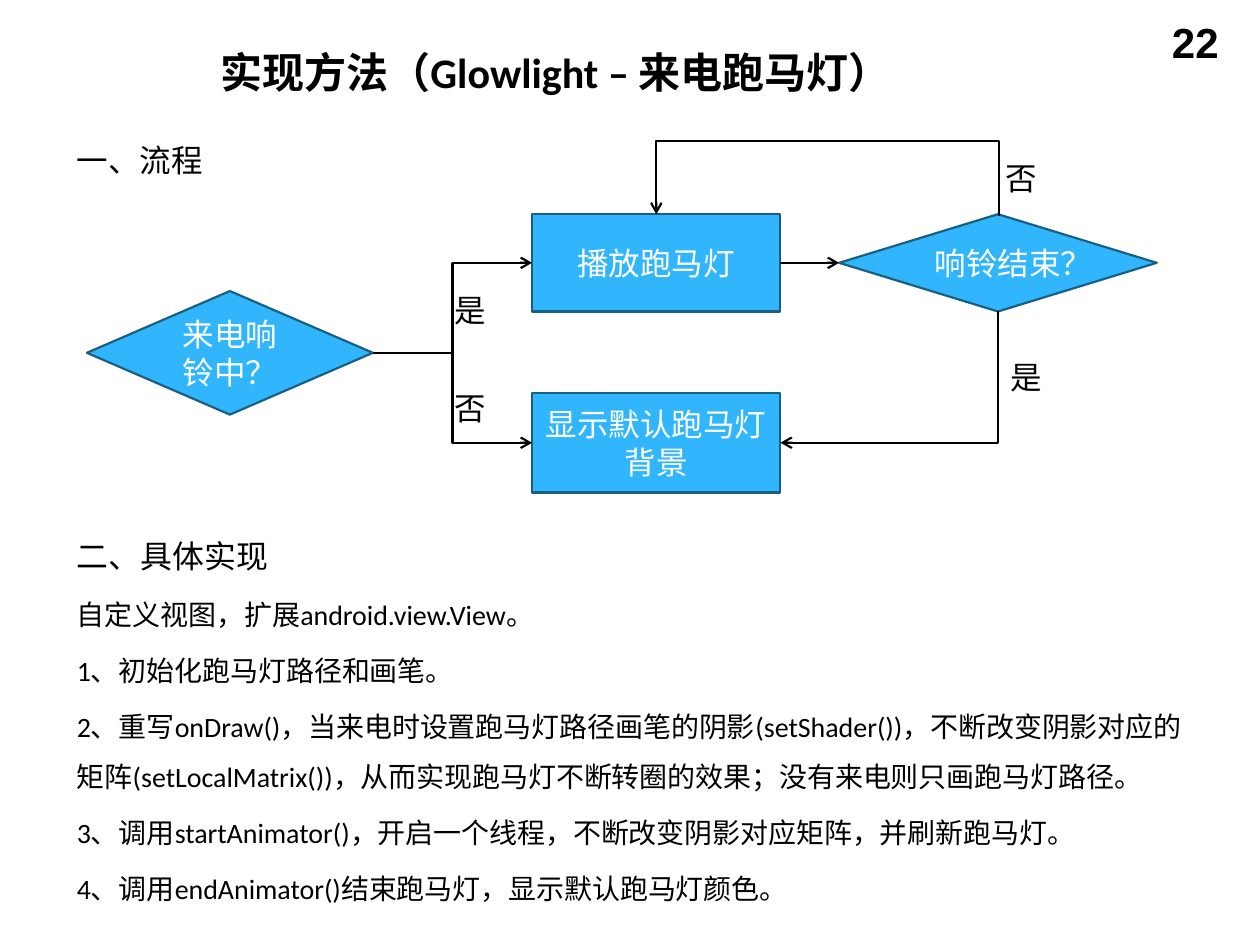
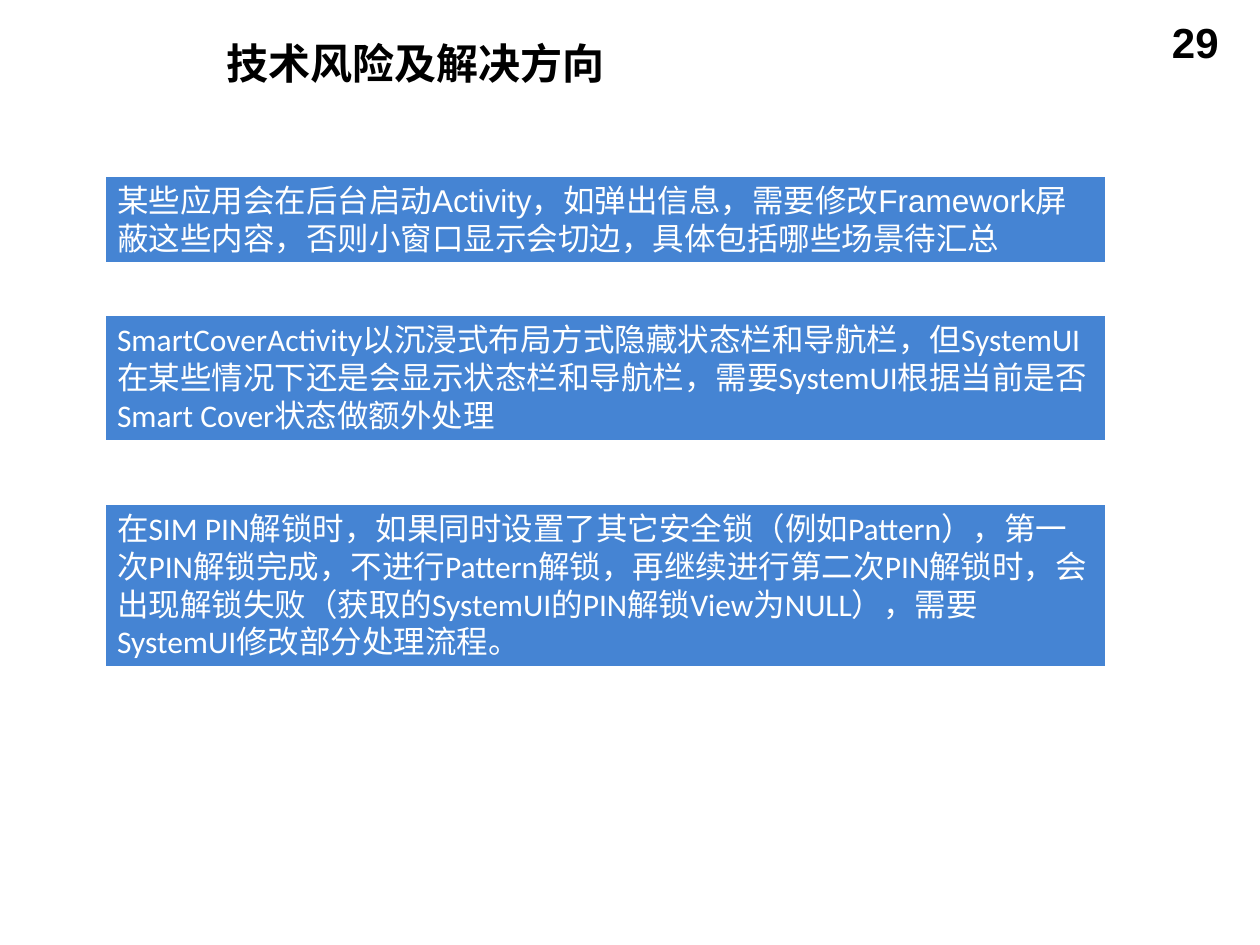
import pptx
import pptx.util
import pptx.dml.color
import pptx.enum.shapes
import pptx.enum.text
import pptx.oxml
import pptx.oxml.ns

Pt = pptx.util.Pt
RGBColor = pptx.dml.color.RGBColor
SHAPE = pptx.enum.shapes.MSO_SHAPE
CONNECTOR = pptx.enum.shapes.MSO_CONNECTOR
ALIGN = pptx.enum.text.PP_ALIGN
ANCHOR = pptx.enum.text.MSO_ANCHOR
qn = pptx.oxml.ns.qn

BLACK = RGBColor(0x00, 0x00, 0x00)
WHITE = RGBColor(0xFF, 0xFF, 0xFF)
FLOW_FILL = RGBColor(0x31, 0xB6, 0xFD)
FLOW_LINE = RGBColor(0x19, 0x5F, 0x84)
RISK_FILL = RGBColor(0x45, 0x84, 0xD3)

TOP, LEFT, BOTTOM, RIGHT = range(4)

STEPS = [
    "自定义视图，扩展android.view.View。",
    "1、初始化跑马灯路径和画笔。",
    "2、重写onDraw()，当来电时设置跑马灯路径画笔的阴影(setShader())，不断改变阴影对应的矩阵"
    "(setLocalMatrix())，从而实现跑马灯不断转圈的效果；没有来电则只画跑马灯路径。",
    "3、调用startAnimator()，开启一个线程，不断改变阴影对应矩阵，并刷新跑马灯。",
    "4、调用endAnimator()结束跑马灯，显示默认跑马灯颜色。",
]

RISKS = [
    (100, 51, "Arial",
     "某些应用会在后台启动Activity，如弹出信息，需要修改Framework屏蔽这些内容，"
     "否则小窗口显示会切边，具体包括哪些场景待汇总"),
    (179.3, 73, "Calibri",
     "SmartCoverActivity以沉浸式布局方式隐藏状态栏和导航栏，但SystemUI在某些情况下还是会"
     "显示状态栏和导航栏，需要SystemUI根据当前是否Smart Cover状态做额外处理"),
    (287.3, 94.3, "Calibri",
     "在SIM PIN解锁时，如果同时设置了其它安全锁（例如Pattern），第一次PIN解锁完成，"
     "不进行Pattern解锁，再继续进行第二次PIN解锁时，会出现解锁失败（获取的SystemUI的PIN解锁"
     "View为NULL），需要SystemUI修改部分处理流程。"),
]


def write(paragraph, text, size=18, font="Calibri", color=BLACK, bold=False,
          align=ALIGN.LEFT, line_spacing=None, space_before=None):
    paragraph.alignment = align
    if line_spacing:
        paragraph.line_spacing = line_spacing
    if space_before is not None:
        paragraph.space_before = Pt(space_before)
    run = paragraph.add_run()
    run.text = text
    run.font.size = Pt(size)
    run.font.name = font
    run.font.bold = bold
    run.font.color.rgb = color


def place(shape, left, top, width, height):
    shape.left, shape.top = Pt(left), Pt(top)
    shape.width, shape.height = Pt(width), Pt(height)


def add_label(slide, text, left, top, width, height=29, **text_format):
    label = slide.shapes.add_textbox(Pt(left), Pt(top), Pt(width), Pt(height))
    label.text_frame.word_wrap = True
    write(label.text_frame.paragraphs[0], text, **text_format)


def add_block(slide, preset, text, box, fill, outline, line_width,
              anchor=ANCHOR.MIDDLE, **text_format):
    block = slide.shapes.add_shape(preset, *map(Pt, box))
    block.shadow.inherit = False
    block.fill.solid()
    block.fill.fore_color.rgb = fill
    block.line.color.rgb = outline
    block.line.width = Pt(line_width)
    block.text_frame.word_wrap = True
    block.text_frame.vertical_anchor = anchor
    write(block.text_frame.paragraphs[0], text, color=WHITE, **text_format)
    return block


def add_flow_node(slide, preset, text, *box):
    return add_block(slide, preset, text, box, FLOW_FILL, FLOW_LINE, 1.25,
                     align=ALIGN.CENTER)


def add_arrow(slide, kind, start=(0, 0), end=(0, 0)):
    arrow = slide.shapes.add_connector(kind, *map(Pt, start + end))
    arrow.line.color.rgb = BLACK
    arrow.line.width = Pt(1.25)
    head = pptx.oxml.parse_xml(
        '<a:tailEnd xmlns:a="http://schemas.openxmlformats.org/drawingml/2006/main" type="arrow"/>')
    arrow.line._get_or_add_ln().append(head)
    properties = arrow._element.spPr
    properties.append(properties.makeelement(qn("a:effectLst"), {}))
    return arrow


def join(slide, kind, source, source_side, target, target_side):
    arrow = add_arrow(slide, kind)
    arrow.begin_connect(source, source_side)
    arrow.end_connect(target, target_side)
    return arrow


def turn_elbow(arrow, start, end, preset, rotation, flip=False, bend=None):
    (start_x, start_y), (end_x, end_y) = start, end
    width, height = abs(end_y - start_y), abs(end_x - start_x)
    place(arrow, (start_x + end_x - width) / 2, (start_y + end_y - height) / 2, width, height)
    properties = arrow._element.spPr
    frame = properties.find(qn("a:xfrm"))
    for flag in ("flipH", "flipV"):
        frame.attrib.pop(flag, None)
    frame.set("rot", str(rotation * 60000))
    if flip:
        frame.set("flipV", "1")
    geometry = properties.find(qn("a:prstGeom"))
    geometry.set("prst", preset)
    if bend is not None:
        guides = geometry.find(qn("a:avLst"))
        guides.append(guides.makeelement(
            qn("a:gd"), {"name": "adj1", "fmla": f"val {round(bend * 100000)}"}))


def add_page(presentation, layout_index, title, number, title_box, anchor):
    slide = presentation.slides.add_slide(presentation.slide_layouts[layout_index])
    heading = slide.shapes.title
    place(heading, *title_box)
    heading.text_frame.auto_size = pptx.enum.text.MSO_AUTO_SIZE.NONE
    heading.text_frame.vertical_anchor = anchor
    write(heading.text_frame.paragraphs[0], title, size=24, bold=True)
    add_label(slide, number, 535.7, 5.8, 167.8, 37.4, size=24, font="Arial",
              bold=True, align=ALIGN.RIGHT)
    return slide


def add_flowchart(slide):
    ringing = add_flow_node(slide, SHAPE.DIAMOND, "来电响铃中？", 49.7, 166.3, 163.4, 70.6)
    play = add_flow_node(slide, SHAPE.RECTANGLE, "播放跑马灯", 304, 122.4, 142, 55.6)
    background = add_flow_node(slide, SHAPE.RECTANGLE, "显示默认跑马灯背景", 304, 224.5, 142, 57)
    ended = add_flow_node(slide, SHAPE.DIAMOND, "响铃结束？", 479.5, 122.4, 181.5, 55.6)

    join(slide, CONNECTOR.ELBOW, ringing, RIGHT, play, LEFT)
    join(slide, CONNECTOR.ELBOW, ringing, RIGHT, background, LEFT)
    join(slide, CONNECTOR.STRAIGHT, play, RIGHT, ended, LEFT)
    finish = join(slide, CONNECTOR.ELBOW, ended, BOTTOM, background, RIGHT)
    turn_elbow(finish, (570.25, 178), (446, 253), "bentConnector2", 90)
    repeat_start, repeat_end = (571, 123.4), (375, 122.4)
    repeat = add_arrow(slide, CONNECTOR.ELBOW, repeat_start, repeat_end)
    turn_elbow(repeat, repeat_start, repeat_end, "bentConnector3", 270, flip=True, bend=43)

    for answer, left, top, width in [("是", 252.7, 162.7, 28), ("否", 252.7, 218.9, 20),
                                     ("是", 570.2, 200.9, 28), ("否", 567.4, 87.1, 34.6)]:
        add_label(slide, answer, left, top, width)


def add_steps(slide):
    body = slide.placeholders[1]
    place(body, 36.7, 292.3, 653, 238.3)
    frame = body.text_frame
    frame.auto_size = pptx.enum.text.MSO_AUTO_SIZE.NONE
    for index, text in enumerate(["二、具体实现"] + STEPS):
        paragraph = frame.add_paragraph() if index else frame.paragraphs[0]
        size = 16 if index else 18.2
        write(paragraph, text, size=size, line_spacing=1.5, space_before=size * 0.2)
        layout = paragraph._p.get_or_add_pPr()
        layout.set("marL", "0")
        layout.set("indent", "0")
        layout.append(layout.makeelement(qn("a:buNone"), {}))


def main():
    presentation = pptx.Presentation()
    presentation.slide_width, presentation.slide_height = Pt(720), Pt(540)

    method = add_page(presentation, 1, "实现方法（Glowlight – 来电跑马灯）", "22",
                      (118.8, 21.6, 565.2, 38.9), ANCHOR.MIDDLE)
    add_flowchart(method)
    add_label(method, "一、流程", 36.7, 77, 152)
    add_steps(method)

    risks = add_page(presentation, 5, "技术风险及解决方向", "29",
                     (122.4, 18, 549.4, 36), ANCHOR.TOP)
    for top, height, font, text in RISKS:
        add_block(risks, SHAPE.RECTANGLE, text, (59.8, top, 572.4, height),
                  RISK_FILL, WHITE, 2, anchor=ANCHOR.TOP, font=font)

    presentation.save("out.pptx")


if __name__ == "__main__":
    main()
